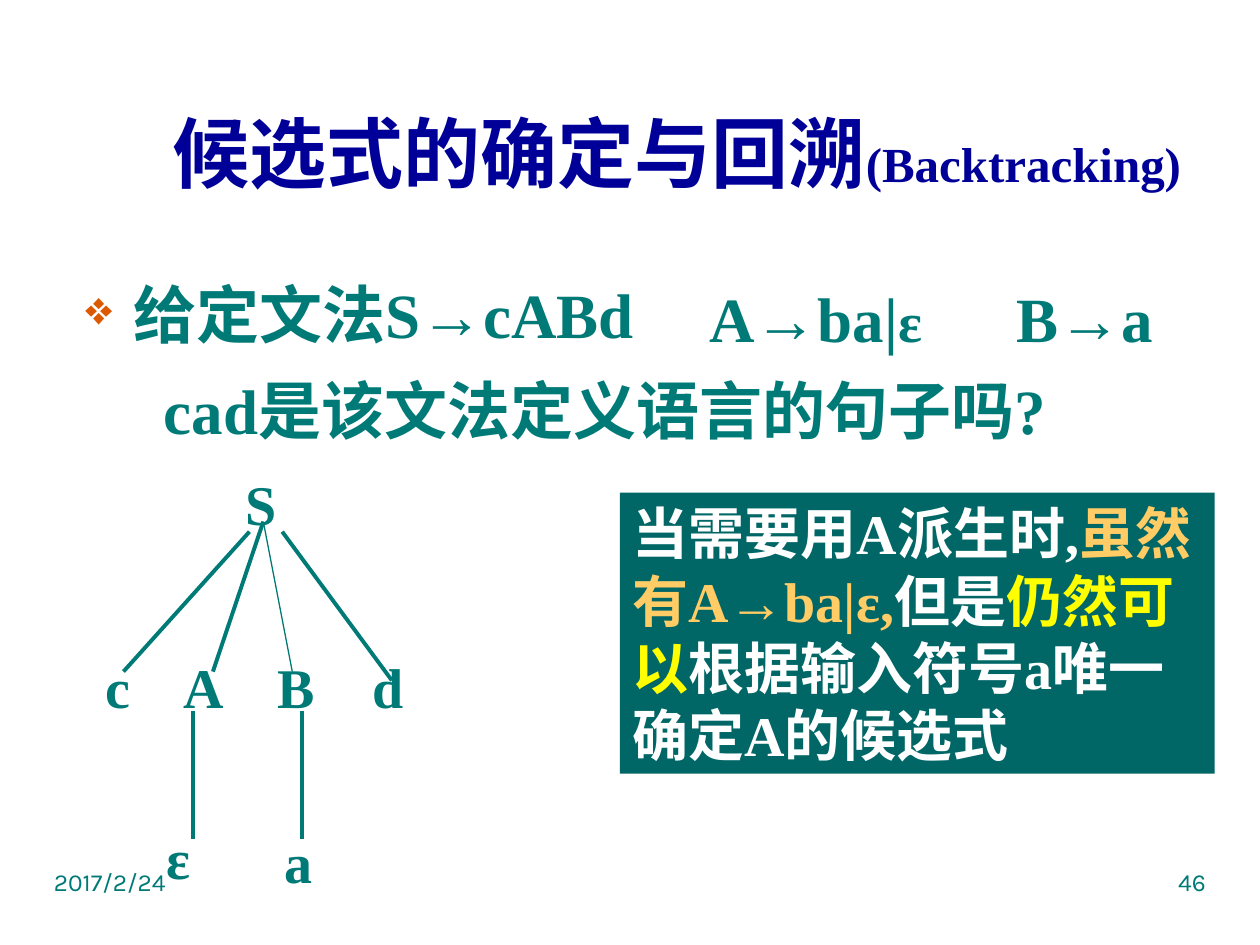
"""Build the slide on choosing candidates and backtracking."""
from typing import NamedTuple, Optional

from lxml.etree import SubElement
from pptx import Presentation
from pptx.dml.color import RGBColor
from pptx.enum.shapes import MSO_CONNECTOR, MSO_SHAPE
from pptx.enum.text import MSO_ANCHOR, PP_ALIGN
from pptx.oxml.ns import qn
from pptx.util import Inches, Pt

UNIT = Inches(0.1)
COLUMNS, ROWS = 100, 75
SERIF, SANS = "Times New Roman", "Karla"
NAVY = RGBColor(0x00, 0x00, 0x99)
TEAL = RGBColor(0x00, 0x7A, 0x77)
DEEP_TEAL = RGBColor(0x00, 0x66, 0x66)
ORANGE = RGBColor(0xDC, 0x59, 0x00)
GOLD = RGBColor(0xFF, 0xCC, 0x66)
YELLOW = RGBColor(0xFF, 0xFF, 0x00)
WHITE = RGBColor(0xFF, 0xFF, 0xFF)


class Area(NamedTuple):
    column: float
    row: float
    columns: float
    rows: float


class Span(NamedTuple):
    text: str
    color: Optional[RGBColor] = None
    size: Optional[float] = None


class Label(NamedTuple):
    area: Area
    spans: list[Span]
    size: float = 32
    font: str = SERIF
    bold: bool = True
    align: PP_ALIGN = PP_ALIGN.LEFT


class Edge(NamedTuple):
    start: tuple[float, float]
    end: tuple[float, float]
    width: float = 2.25


def node(text: str, column: float, row: float) -> Label:
    return Label(Area(column, row, 4.5, 6.3), [Span(text)])


LEAF_ROW = 51.3
LABELS = [
    Label(Area(55.3, 21.7, 22, 7), [Span("A→ba|"), Span("ε", size=32)], 36),
    Label(Area(79.7, 21.7, 16, 7), [Span("B→a")], 36),
    Label(Area(3.3, 68.3, 25, 5.2), [Span("2017/2/24")], 14, SANS, False),
    Label(Area(71.7, 68.3, 25, 5.2), [Span("46")], 14, SANS, False, PP_ALIGN.RIGHT),
    node("S", 18.5, 36.8),
    node("c", 7.4, LEAF_ROW),
    node("A", 13.6, LEAF_ROW),
    node("B", 21, LEAF_ROW),
    node("d", 28.6, LEAF_ROW),
    node("ε", 12.2, 64.9),
    node("a", 21.6, 65.2),
]
EDGES = [
    Edge((19.8, 42.2), (9.8, 53.3)),
    Edge((20.9, 41.4), (16.9, 53.3)),
    Edge((20.9, 41.4), (23.2, 53.3), 0.75),
    Edge((22.4, 42.2), (31.1, 54)),
    Edge((15.3, 56.4), (15.3, 66.6)),
    Edge((24, 56.4), (24, 66.6)),
]
REMARK = [
    Span("当需要用A派生时,"),
    Span("虽然有A→ba|ε,", GOLD),
    Span("但是"),
    Span("仍然可以", YELLOW),
    Span("根据输入符号a唯一确定A的候选式"),
]


def grid(*counts: float) -> list[int]:
    return [round(count * UNIT) for count in counts]


def write(para, spans: list[Span], color: RGBColor, size: float,
          font: str = SERIF, bold: bool = True) -> None:
    para.font.name, para.font.size, para.font.bold = font, Pt(size), bold
    para.font.color.rgb = color
    for span in spans:
        run = para.add_run()
        run.text = span.text
        run.font.name, run.font.bold = font, bold
        run.font.size = Pt(span.size or size)
        run.font.color.rgb = span.color or color


def add_label(slide, label: Label) -> None:
    box = slide.shapes.add_textbox(*grid(*label.area))
    box.text_frame.word_wrap = True
    para = box.text_frame.paragraphs[0]
    para.alignment = label.align
    write(para, label.spans, TEAL, label.size, label.font, label.bold)


def add_edge(slide, edge: Edge) -> None:
    line = slide.shapes.add_connector(
        MSO_CONNECTOR.STRAIGHT, *grid(*edge.start, *edge.end))
    line.line.color.rgb, line.line.width = TEAL, Pt(edge.width)
    SubElement(line._element.spPr, qn("a:effectLst"))


def add_title(slide) -> None:
    title = slide.shapes.title
    title.left, title.top, title.width, title.height = grid(10.6, 6, 86.2, 12.1)
    title.text_frame.vertical_anchor = MSO_ANCHOR.MIDDLE
    para = title.text_frame.paragraphs[0]
    para.alignment = PP_ALIGN.CENTER
    write(para, [Span("候选式的确定与回溯"), Span("(Backtracking)", size=28)], NAVY, 44)


def add_question(slide) -> None:
    box = slide.shapes.add_textbox(*grid(5.8, 20.8, 92.5, 17.4))
    box.text_frame.word_wrap = True
    grammar, question = box.text_frame.paragraphs[0], box.text_frame.add_paragraph()
    layout = grammar._p.get_or_add_pPr()
    layout.set("marL", str(Inches(0.38)))
    layout.set("indent", str(-Inches(0.38)))
    color = SubElement(layout, qn("a:buClr"))
    SubElement(color, qn("a:srgbClr"), val=str(ORANGE))
    SubElement(layout, qn("a:buSzPct"), val="75000")
    SubElement(layout, qn("a:buChar"), char="❖")
    question._p.get_or_add_pPr().set("marL", str(Inches(0.62)))
    question.space_before = Pt(7.2)
    for para, text in ((grammar, "给定文法S→cABd"), (question, "cad是该文法定义语言的句子吗?")):
        para.line_spacing = 1.1
        write(para, [Span(text)], TEAL, 36)


def add_remark(slide) -> None:
    panel = slide.shapes.add_shape(MSO_SHAPE.RECTANGLE, *grid(49.2, 39.1, 47.2, 22.3))
    panel.shadow.inherit = False
    panel.fill.solid()
    panel.fill.fore_color.rgb = DEEP_TEAL
    panel.line.fill.background()
    panel.text_frame.word_wrap = True
    panel.text_frame.vertical_anchor = MSO_ANCHOR.TOP
    para = panel.text_frame.paragraphs[0]
    para.alignment = PP_ALIGN.LEFT
    write(para, REMARK, WHITE, 32)


def main() -> None:
    deck = Presentation()
    deck.slide_width, deck.slide_height = grid(COLUMNS, ROWS)
    slide = deck.slides.add_slide(deck.slide_layouts.get_by_name("Title Only"))
    add_title(slide)
    add_question(slide)
    for edge in EDGES:
        add_edge(slide, edge)
    for label in LABELS:
        add_label(slide, label)
    add_remark(slide)
    deck.save("out.pptx")


if __name__ == "__main__":
    main()
